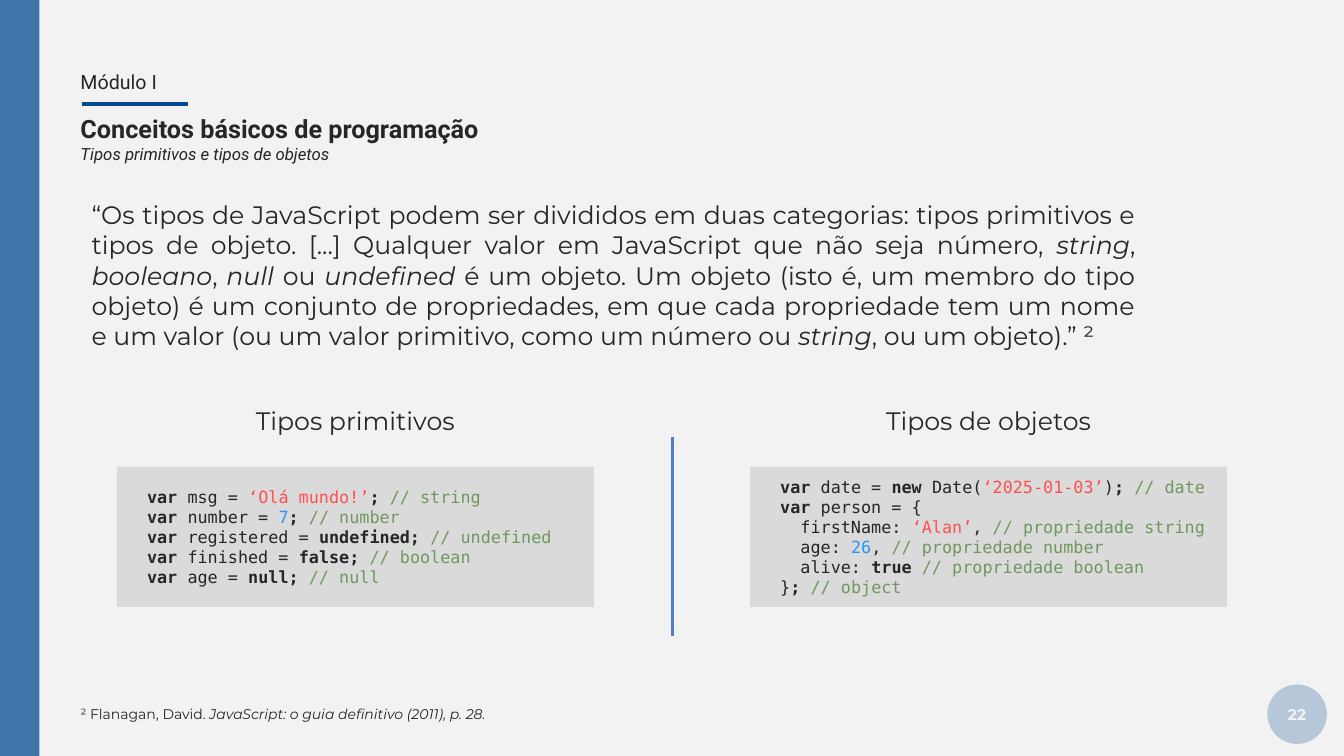
from dataclasses import dataclass

from pptx import Presentation
from pptx.dml.color import RGBColor
from pptx.enum.shapes import MSO_CONNECTOR as Connector, MSO_SHAPE as Preset
from pptx.enum.text import MSO_ANCHOR as Anchor, PP_ALIGN as Align
from pptx.oxml.ns import qn
from pptx.util import Pt
from lxml.etree import SubElement

EMU_PER_PX = 9144
INK = RGBColor(0x26, 0x26, 0x26)
PAPER = RGBColor(0xF2, 0xF2, 0xF2)
NAVY = RGBColor(0x03, 0x4A, 0x90)
BLUE = RGBColor(0x51, 0x7D, 0xC9)
PANEL = RGBColor(0xDA, 0xDA, 0xDA)
RED = RGBColor(0xFF, 0x50, 0x50)
AZURE = RGBColor(0x2A, 0x93, 0xFB)
GREEN = RGBColor(0x70, 0x98, 0x5E)

HEADING_FONT = "Roboto"
BODY_FONT = "Montserrat"
CODE_FONT = "DejaVu Sans Mono"


@dataclass(frozen=True)
class Look:
    color: RGBColor = INK
    bold: bool = False
    italic: bool = False


PLAIN = Look()
STRONG = Look(bold=True)
ITALIC = Look(italic=True)
STRING = Look(RED)
NUMBER = Look(AZURE)
REMARK = Look(GREEN)
BADGE = Look(PAPER, bold=True)


class SlideBuilder:
    def __init__(self, deck):
        self.page = deck.slides.add_slide(deck.slide_layouts[6])
        fill = self.page.background.fill
        fill.solid()
        fill.fore_color.rgb = PAPER

    def scale(self, *lengths):
        return [length * EMU_PER_PX for length in lengths]

    def fill_text(self, frame, lines, font, size, align, anchor, spacing=1.0):
        frame.word_wrap = True
        frame.vertical_anchor = anchor
        for index, line in enumerate(lines):
            para = frame.add_paragraph() if index else frame.paragraphs[0]
            para.alignment = align
            para.line_spacing = spacing
            for text, look in line:
                span = para.add_run()
                span.text = text
                span.font.name = font
                span.font.size = Pt(size)
                span.font.bold = look.bold
                span.font.italic = look.italic
                span.font.color.rgb = look.color

    def text(self, bounds, spans, size, font=BODY_FONT, align=Align.LEFT,
             anchor=Anchor.TOP, spacing=1.0):
        box = self.page.shapes.add_textbox(*self.scale(*bounds))
        self.fill_text(box.text_frame, [spans], font, size, align, anchor,
                       spacing)

    def heading(self, top, width, text, size, look):
        self.text((70, top, width, 42), [(text, look)], size, HEADING_FONT,
                  anchor=Anchor.MIDDLE, spacing=0.9)

    def shape(self, preset, bounds, color, opacity=100):
        shape = self.page.shapes.add_shape(preset, *self.scale(*bounds))
        shape.shadow.inherit = False
        shape.fill.solid()
        shape.fill.fore_color.rgb = color
        shape.line.fill.background()
        if opacity < 100:
            tint = shape.element.spPr.find(".//" + qn("a:srgbClr"))
            SubElement(tint, qn("a:alpha")).set("val", str(opacity * 1000))
        return shape

    def line(self, start, end, color, width):
        line = self.page.shapes.add_connector(
            Connector.STRAIGHT, *self.scale(*start, *end))
        line.line.color.rgb = color
        line.line.width = Pt(width)
        SubElement(line.element.spPr, qn("a:effectLst"))

    def badge(self, bounds, text):
        badge = self.shape(Preset.OVAL, bounds, NAVY, 25)
        frame = badge.text_frame
        frame.margin_left = frame.margin_right = 0
        self.fill_text(frame, [[(text, BADGE)]], BODY_FONT, 11,
                       Align.CENTER, Anchor.MIDDLE)

    def code_panel(self, left, title, lines):
        self.text((left + 40, 397, 393, 40), [(title, PLAIN)], 18,
                  align=Align.CENTER)
        panel = self.shape(Preset.RECTANGLE, (left, 463, 473, 139), PANEL)
        self.fill_text(panel.text_frame, lines, CODE_FONT, 12,
                       Align.JUSTIFY, Anchor.MIDDLE)


QUOTE = [
    ("“Os tipos de JavaScript podem ser divididos em duas categorias: tipos "
     "primitivos e tipos de objeto. [...] Qualquer valor em JavaScript que "
     "não seja número, ", PLAIN),
    ("string", ITALIC), (", ", PLAIN),
    ("booleano", ITALIC), (", ", PLAIN),
    ("null", ITALIC), (" ou ", PLAIN),
    ("undefined", ITALIC),
    (" é um objeto. Um objeto (isto é, um membro do tipo objeto) é um "
     "conjunto de propriedades, em que cada propriedade tem um nome e um "
     "valor (ou um valor primitivo, como um número ou ", PLAIN),
    ("string", ITALIC), (", ou um objeto).” ²", PLAIN),
]
SOURCE = [
    ("² Flanagan, David. ", PLAIN),
    ("JavaScript: o guia definitivo (2011), p. 28.", ITALIC),
]
VAR = ("  var ", STRONG)
PRIMITIVES = [
    [VAR, ("msg = ", PLAIN), ("‘Olá mundo!’", STRING), ("; ", STRONG),
     ("// string", REMARK)],
    [VAR, ("number = ", PLAIN), ("7", NUMBER), (";", STRONG),
     (" // number", REMARK)],
    [VAR, ("registered = ", PLAIN), ("undefined;", STRONG),
     (" // undefined", REMARK)],
    [VAR, ("finished = ", PLAIN), ("false;", STRONG),
     (" // boolean", REMARK)],
    [VAR, ("age = ", PLAIN), ("null;", STRONG), (" // null", REMARK)],
]
OBJECTS = [
    [VAR, ("date = ", PLAIN), ("new ", STRONG), ("Date(", PLAIN),
     ("‘2025-01-03’", STRING), (")", PLAIN), ("; ", STRONG),
     ("// date", REMARK)],
    [VAR, ("person = {", PLAIN)],
    [("    firstName: ", PLAIN), ("‘Alan’", STRING), (", ", PLAIN),
     ("// propriedade string", REMARK)],
    [("    age: ", PLAIN), ("26", NUMBER), (",", PLAIN),
     (" // propriedade number", REMARK)],
    [("    alive: ", PLAIN), ("true", STRONG),
     (" // propriedade boolean", REMARK)],
    [("  }", PLAIN), (";", STRONG), (" // object", REMARK)],
]


def main():
    deck = Presentation()
    deck.slide_width = 1333 * EMU_PER_PX
    deck.slide_height = 750 * EMU_PER_PX
    builder = SlideBuilder(deck)

    builder.shape(Preset.RECTANGLE, (0, 0, 39, 750), NAVY, 75)
    builder.heading(61, 116, "Módulo I", 14, PLAIN)
    builder.line((81, 103), (186, 103), NAVY, 3)
    builder.heading(108, 597, "Conceitos básicos de programação", 18, STRONG)
    builder.heading(133, 597, "Tipos primitivos e tipos de objetos", 12, ITALIC)

    builder.text((81, 193, 1055, 162), QUOTE, 18, align=Align.JUSTIFY)
    builder.code_panel(116, "Tipos primitivos", PRIMITIVES)
    builder.line((667, 434), (667, 631), BLUE, 2.25)
    builder.code_panel(744, "Tipos de objetos", OBJECTS)

    builder.text((70, 695, 1055, 27), SOURCE, 10, align=Align.JUSTIFY)
    builder.badge((1257, 679, 59, 59), "22")
    deck.save("out.pptx")


if __name__ == "__main__":
    main()
